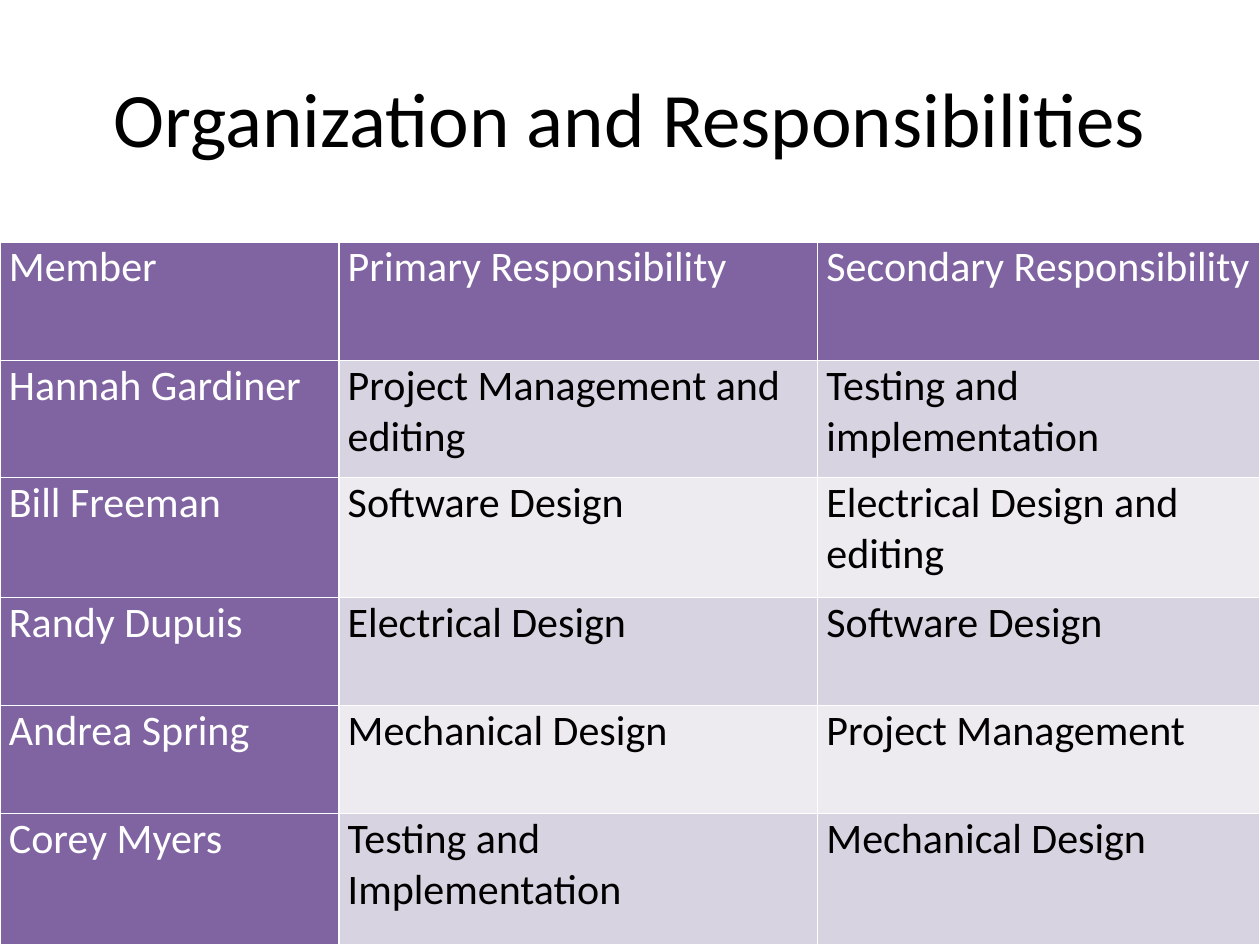
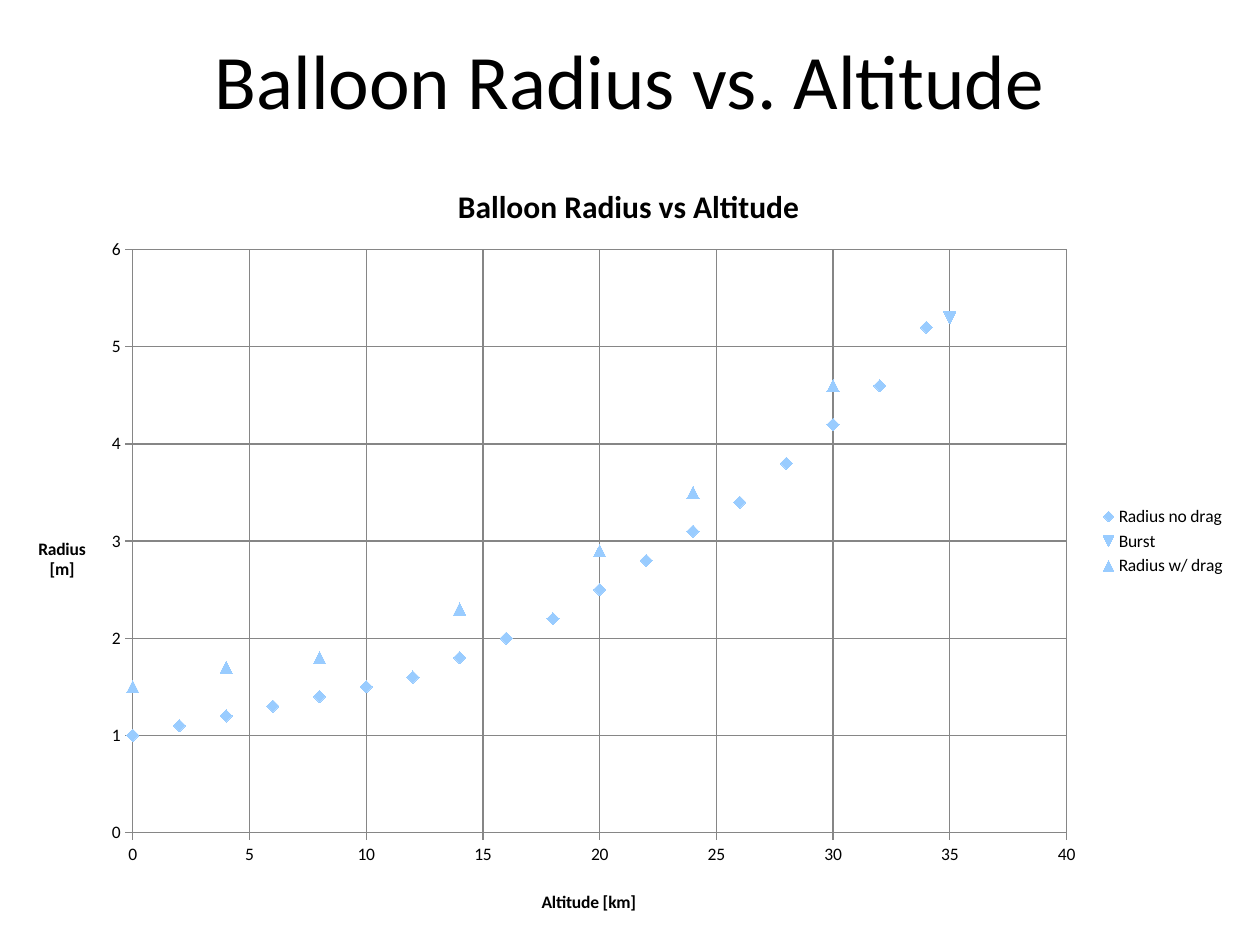
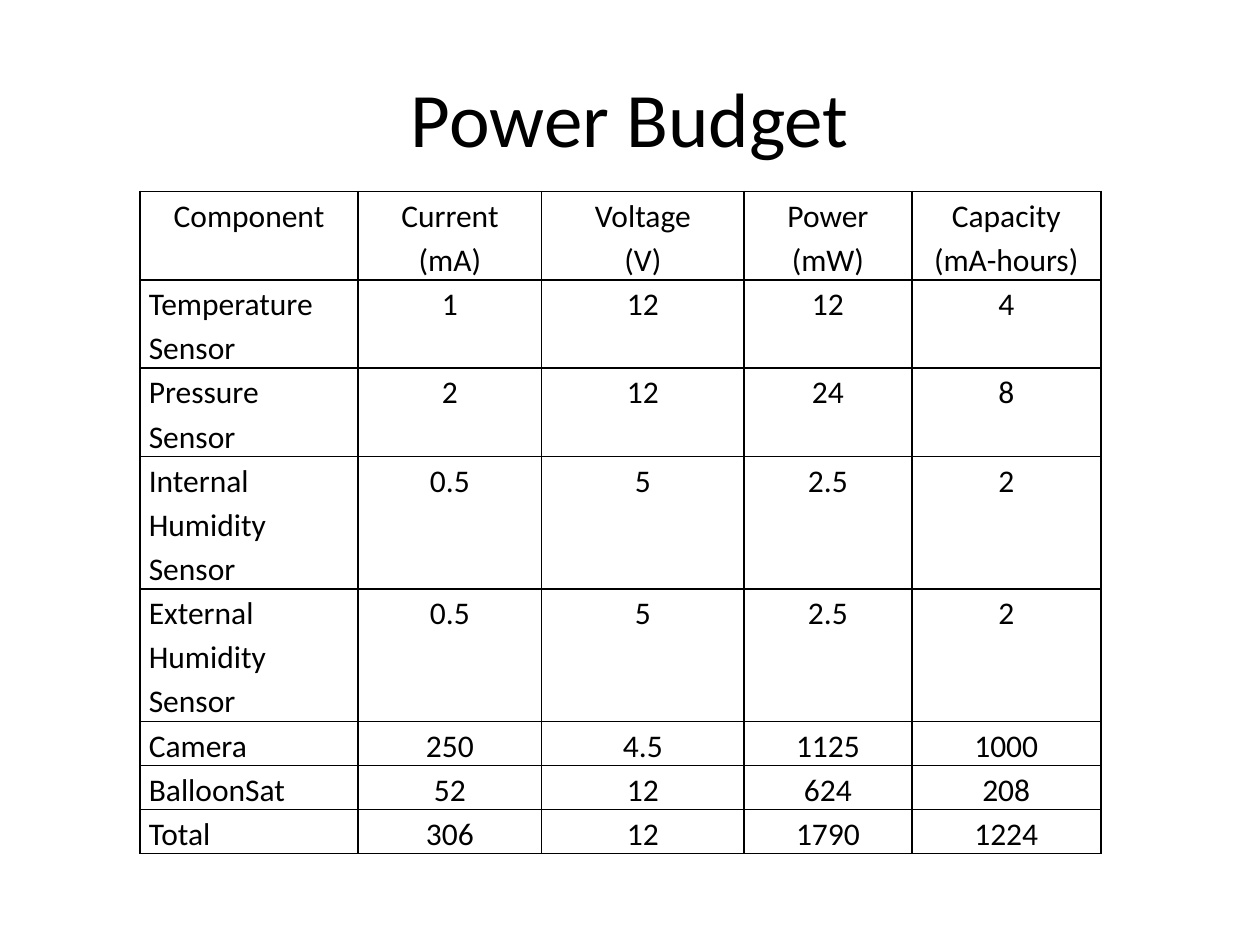
from lxml.etree import SubElement
from pptx import Presentation
from pptx.chart.data import XyChartData
from pptx.dml.color import RGBColor
from pptx.enum.chart import XL_CHART_TYPE, XL_LEGEND_POSITION, XL_MARKER_STYLE, XL_TICK_MARK
from pptx.enum.text import MSO_ANCHOR, PP_ALIGN
from pptx.oxml import parse_xml
from pptx.oxml.ns import nsdecls, qn
from pptx.util import Cm, Pt

BLACK = RGBColor(0x00, 0x00, 0x00)
WHITE = RGBColor(0xFF, 0xFF, 0xFF)
PURPLE = RGBColor(0x80, 0x64, 0xA2)
LILAC = RGBColor(0xD8, 0xD3, 0xE0)
PALE_LILAC = RGBColor(0xED, 0xEA, 0xF0)
SKY = RGBColor(0x99, 0xCC, 0xFF)
GRID_GRAY = RGBColor(0x86, 0x86, 0x86)
FONT = "Calibri"

MEMBERS = [
    ("Member", "Primary Responsibility", "Secondary Responsibility"),
    ("Hannah Gardiner", "Project Management and editing", "Testing and implementation"),
    ("Bill Freeman", "Software Design", "Electrical Design and editing"),
    ("Randy Dupuis", "Electrical Design", "Software Design"),
    ("Andrea Spring", "Mechanical Design", "Project Management"),
    ("Corey Myers", "Testing and Implementation", "Mechanical Design"),
]
POWER = [
    ("Component", "Current\n(mA)", "Voltage\n(V)", "Power\n(mW)", "Capacity\n(mA-hours)"),
    ("Temperature Sensor", "1", "12", "12", "4"),
    ("Pressure Sensor", "2", "12", "24", "8"),
    ("Internal\nHumidity Sensor", "0.5", "5", "2.5", "2"),
    ("External Humidity Sensor", "0.5", "5", "2.5", "2"),
    ("Camera", "250", "4.5", "1125", "1000"),
    ("BalloonSat", "52", "12", "624", "208"),
    ("Total", "306", "12", "1790", "1224"),
]
POWER_LINES = (2, 2, 2, 3, 3, 1, 1, 1)
POWER_LINE_HEIGHT = 0.89

NO_DRAG = [1, 1.1, 1.2, 1.3, 1.4, 1.5, 1.6, 1.8, 2, 2.2, 2.5, 2.8, 3.1, 3.4, 3.8, 4.2, 4.6, 5.2]
RADII = [
    ("Radius no drag", XL_MARKER_STYLE.DIAMOND, list(zip(range(0, 36, 2), NO_DRAG))),
    ("Burst", XL_MARKER_STYLE.AUTOMATIC, [(35, 5.3)]),
    ("Radius w/ drag", XL_MARKER_STYLE.TRIANGLE,
     [(0, 1.5), (4, 1.7), (8, 1.8), (14, 2.3), (20, 2.9), (24, 3.5), (30, 4.6)]),
]


def style_font(font, size, color=BLACK, bold=False):
    font.name = FONT
    font.size = Pt(size)
    font.bold = bold
    font.color.rgb = color


def add_title(slide, text, top):
    title = slide.shapes.add_textbox(Cm(1.27), Cm(top), Cm(22.86), Cm(3.18)).text_frame
    title.word_wrap = True
    title.vertical_anchor = MSO_ANCHOR.MIDDLE
    title.text = text
    title.paragraphs[0].alignment = PP_ALIGN.CENTER
    style_font(title.paragraphs[0].font, 44)


def set_borders(cell, color):
    for side in ("lnL", "lnR", "lnT", "lnB"):
        cell._tc.get_or_add_tcPr().append(parse_xml(
            f'<a:{side} {nsdecls("a")} w="12700"><a:solidFill>'
            f'<a:srgbClr val="{color}"/></a:solidFill></a:{side}>'))


def add_grid(slide, rows, left, top, widths, heights, border, style_cell):
    table = slide.shapes.add_table(len(rows), len(widths), Cm(left), Cm(top),
                                   Cm(sum(widths)), Cm(sum(heights))).table
    table.first_row = table.horz_banding = False
    for column, width in zip(table.columns, widths):
        column.width = Cm(width)
    for row, height in zip(table.rows, heights):
        row.height = Cm(height)
    for r, texts in enumerate(rows):
        for c, text in enumerate(texts):
            cell = table.cell(r, c)
            cell.text = text
            cell.margin_left = cell.margin_right = Cm(0.18)
            cell.margin_top = cell.margin_bottom = 0
            set_borders(cell, border)
            style_cell(cell, r, c)


def style_member_cell(cell, r, c):
    heading = r == 0 or c == 0
    cell.fill.solid()
    cell.fill.fore_color.rgb = PURPLE if heading else LILAC if r % 2 else PALE_LILAC
    style_font(cell.text_frame.paragraphs[0].font, 24, WHITE if heading else BLACK)


def style_power_cell(cell, r, c):
    cell.fill.background()
    for paragraph in cell.text_frame.paragraphs:
        paragraph.line_spacing = 1.15
        paragraph.alignment = PP_ALIGN.LEFT if r and c == 0 else PP_ALIGN.CENTER
        style_font(paragraph.font, 18)


def set_layout(element, index, **fractions):
    for old in element.findall(qn("c:layout")):
        element.remove(old)
    layout = parse_xml(f'<c:layout {nsdecls("c")}><c:manualLayout/></c:layout>')
    settings = {"xMode": "edge", "yMode": "edge", **fractions}
    if "w" in fractions:
        settings = {"layoutTarget": "inner", **settings}
    for tag, value in settings.items():
        SubElement(layout[0], qn(f"c:{tag}")).set("val", str(value))
    element.insert(index, layout)


def write_chart_title(title, text, size, x, y):
    title.text_frame.text = text
    title.text_frame._txBody.bodyPr.set("rot", "0")
    for paragraph in title.text_frame.paragraphs:
        style_font(paragraph.font, size, bold=True)
    set_layout(title._element, 1, x=x, y=y)


def style_axis(axis, maximum, step):
    axis.minimum_scale = 0
    axis.maximum_scale = maximum
    axis.major_unit = step
    axis.major_tick_mark = XL_TICK_MARK.OUTSIDE
    axis.minor_tick_mark = XL_TICK_MARK.NONE
    axis.has_major_gridlines = True
    axis.tick_labels.number_format = "General"
    axis.tick_labels.number_format_is_linked = False
    for line in (axis.format.line, axis.major_gridlines.format.line):
        line.color.rgb = GRID_GRAY
        line.width = Pt(0.75)


def add_radius_chart(slide, left, top, width, height):
    radii = XyChartData()
    for name, _, points in RADII:
        series = radii.add_series(name)
        for altitude, radius in points:
            series.add_data_point(altitude, radius)
    chart = slide.shapes.add_chart(XL_CHART_TYPE.XY_SCATTER, Cm(left), Cm(top),
                                   Cm(width), Cm(height), radii).chart
    style_font(chart.font, 10)
    write_chart_title(chart.chart_title, "Balloon Radius vs Altitude", 18, 0.36, 0.04)
    style_axis(chart.category_axis, 40, 5)
    style_axis(chart.value_axis, 6, 1)
    write_chart_title(chart.category_axis.axis_title, "Altitude [km]", 10, 0.43, 0.94)
    write_chart_title(chart.value_axis.axis_title, "Radius\n[m]", 10, 0.02, 0.49)
    chart.has_legend = True
    chart.legend.position = XL_LEGEND_POSITION.RIGHT
    chart.legend.include_in_layout = False
    plot = chart.plots[0]
    plot.vary_by_categories = False
    for series, (_, symbol, _) in zip(plot.series, RADII):
        series.format.line.fill.background()
        series.marker.style = symbol
        series.marker.size = 7
        series.marker.format.fill.solid()
        series.marker.format.fill.fore_color.rgb = SKY
        series.marker.format.line.color.rgb = SKY
    set_layout(chart._chartSpace.chart.plotArea, 0, x=0.1, y=0.13, w=0.76, h=0.74)


def main():
    deck = Presentation()
    deck.slide_width, deck.slide_height = Cm(25.4), Cm(19.05)
    organization, balloon, power = (
        deck.slides.add_slide(deck.slide_layouts[6]) for _ in range(3))

    add_title(organization, "Organization and Responsibilities", 0.76)
    add_grid(organization, MEMBERS, 0, 4.88, (6.83, 9.65, 8.92),
             (2.39, 2.36, 2.41, 2.18, 2.18, 2.64), WHITE, style_member_cell)

    add_title(balloon, "Balloon Radius vs. Altitude", 0)
    add_radius_chart(balloon, 0.2, 2.97, 24.77, 15.88)

    add_title(power, "Power Budget", 0.76)
    add_grid(power, POWER, 2.82, 3.86, (4.4, 3.7, 4.08, 3.38, 3.81),
             [lines * POWER_LINE_HEIGHT for lines in POWER_LINES], BLACK, style_power_cell)

    deck.save("out.pptx")


if __name__ == "__main__":
    main()
